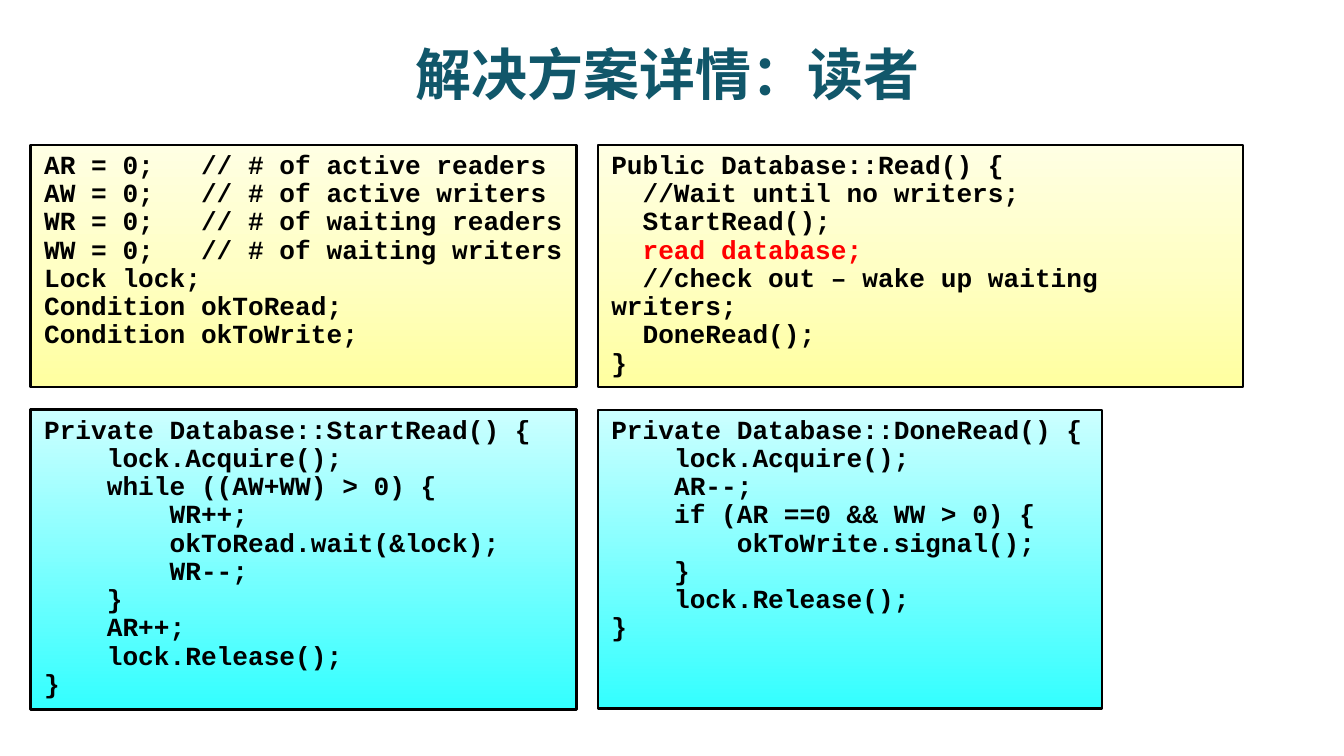
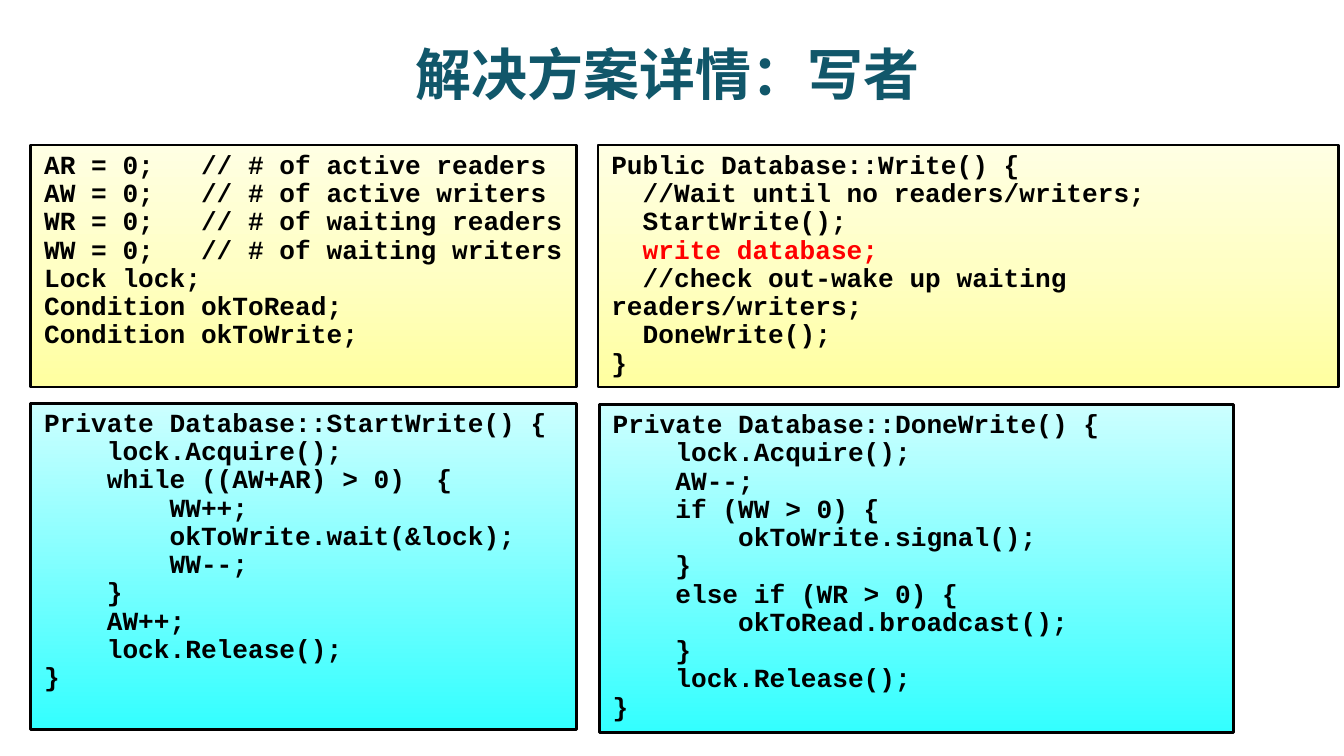
from copy import deepcopy

from lxml.etree import SubElement
from pptx import Presentation
from pptx.dml.color import RGBColor
from pptx.enum.shapes import MSO_SHAPE
from pptx.enum.text import MSO_ANCHOR, MSO_AUTO_SIZE, PP_ALIGN
from pptx.oxml.ns import qn
from pptx.util import Inches, Pt

BLACK = RGBColor(0x00, 0x00, 0x00)
RED = RGBColor(0xFF, 0x00, 0x00)
TEAL = RGBColor(0x11, 0x57, 0x6A)

# Gradient stops (position, colour) and counter-clockwise angle
YELLOW = ([(0, RGBColor(0xFF, 0xFF, 0xA0)),
           (0.5, RGBColor(0xFF, 0xFF, 0xC5)),
           (1, RGBColor(0xFF, 0xFF, 0xE3))], 90)
CYAN = ([(0, RGBColor(0xCC, 0xFF, 0xFF)),
         (1, RGBColor(0x33, 0xFF, 0xFF)),
         (1, RGBColor(0xE1, 0xE8, 0xF5))], 270)

TITLE_FONT = "Noto Sans CJK SC"
TITLE_FORMAT = {"name": TITLE_FONT, "size": Pt(30), "bold": True}
CODE_FORMAT = {"name": "Courier New", "size": Pt(14), "bold": True}

SLIDE_WIDTH = 10
LEFT, RIGHT = 0.23, 4.45
TOP, TOP_HEIGHT = 1.08, 1.8
LEFT_WIDTH = 4.06

SHARED_STATE = """\
AR = 0;   // # of active readers
AW = 0;   // # of active writers
WR = 0;   // # of waiting readers
WW = 0;   // # of waiting writers
Lock lock;
Condition okToRead;
Condition okToWrite;"""

READ = """\
Public Database::Read() {
  //Wait until no writers;
  StartRead();
  read database;
  //check out – wake up waiting writers;
  DoneRead();
}"""

START_READ = """\
Private Database::StartRead() {
    lock.Acquire();
    while ((AW+WW) > 0) {
        WR++;
        okToRead.wait(&lock);
        WR--;
    }
    AR++;
    lock.Release();
}"""

DONE_READ = """\
Private Database::DoneRead() {
    lock.Acquire();
    AR--;
    if (AR ==0 && WW > 0) {
        okToWrite.signal();
    }
    lock.Release();
}"""

WRITE = """\
Public Database::Write() {
  //Wait until no readers/writers;
  StartWrite();
  write database;
  //check out-wake up waiting readers/writers;
  DoneWrite();
}"""

START_WRITE = """\
Private Database::StartWrite() {
    lock.Acquire();
    while ((AW+AR) > 0)  {
        WW++;
        okToWrite.wait(&lock);
        WW--;
    }
    AW++;
    lock.Release();
}"""

DONE_WRITE = """\
Private Database::DoneWrite() {
    lock.Acquire();
    AW--;
    if (WW > 0) {
        okToWrite.signal();
    }
    else if (WR > 0) {
        okToRead.broadcast();
    }
    lock.Release();
}"""

# Title, highlighted line, then panels: code, gradient, left, top, width, height
LESSONS = [
    ("解决方案详情：读者", "read database;", [
        (START_READ, CYAN, LEFT, 3.05, LEFT_WIDTH, 2.23),
        (SHARED_STATE, YELLOW, LEFT, TOP, LEFT_WIDTH, TOP_HEIGHT),
        (DONE_READ, CYAN, RIGHT, 3.05, 3.75, 2.22),
        (READ, YELLOW, RIGHT, TOP, 4.8, TOP_HEIGHT),
    ]),
    ("解决方案详情：写者", "write database;", [
        (START_WRITE, CYAN, LEFT, 3, LEFT_WIDTH, 2.43),
        (SHARED_STATE, YELLOW, LEFT, TOP, LEFT_WIDTH, TOP_HEIGHT),
        (DONE_WRITE, CYAN, 4.46, 3.01, 4.72, 2.44),
        (WRITE, YELLOW, RIGHT, TOP, 5.51, TOP_HEIGHT),
    ]),
]


def format_run(run, values, color):
    """Apply a dict of font values and a colour to a run."""
    for attribute, value in values.items():
        setattr(run.font, attribute, value)
    run.font.color.rgb = color


def add_code_panel(slide, code, gradient, bounds, highlight):
    """Add a gradient panel with one paragraph per line of code."""
    panel = slide.shapes.add_shape(MSO_SHAPE.RECTANGLE, *map(Inches, bounds))
    panel.shadow.inherit = False
    panel.line.color.rgb = BLACK
    panel.line.width = Pt(1.5)

    stops, angle = gradient
    panel.fill.gradient()
    panel.fill.gradient_angle = angle
    stop_list = next(panel.element.iter(qn("a:gsLst")))
    stop_list.append(deepcopy(stop_list[0]))
    for stop, (position, color) in zip(panel.fill.gradient_stops, stops):
        stop.position = position
        stop.color.rgb = color

    frame = panel.text_frame
    frame.word_wrap = True
    frame.auto_size = MSO_AUTO_SIZE.NONE
    frame.vertical_anchor = MSO_ANCHOR.TOP
    for index, line in enumerate(code.splitlines()):
        paragraph = frame.add_paragraph() if index else frame.paragraphs[0]
        paragraph.alignment = PP_ALIGN.LEFT
        paragraph.line_spacing = 0.9
        run = paragraph.add_run()
        run.text = line
        format_run(run, CODE_FORMAT, RED if line.strip() == highlight else BLACK)


prs = Presentation()
prs.slide_width = Inches(SLIDE_WIDTH)
prs.slide_height = Inches(SLIDE_WIDTH * 9 / 16)
title_only = prs.slide_layouts[5]

for heading, highlight, panels in LESSONS:
    slide = prs.slides.add_slide(title_only)
    title = slide.shapes.title
    title.left, title.top = Inches(0.47), Inches(0.25)
    title.width, title.height = Inches(9), Inches(0.56)
    title.text_frame.auto_size = MSO_AUTO_SIZE.NONE
    title.text_frame.vertical_anchor = MSO_ANCHOR.MIDDLE
    title.text_frame.margin_top = Inches(0.08)
    paragraph = title.text_frame.paragraphs[0]
    paragraph.alignment = PP_ALIGN.CENTER
    run = paragraph.add_run()
    run.text = heading
    format_run(run, TITLE_FORMAT, TEAL)
    SubElement(run.font._element, qn("a:ea"), typeface=TITLE_FONT)

    for code, gradient, *bounds in panels:
        add_code_panel(slide, code, gradient, bounds, highlight)

prs.save("out.pptx")
